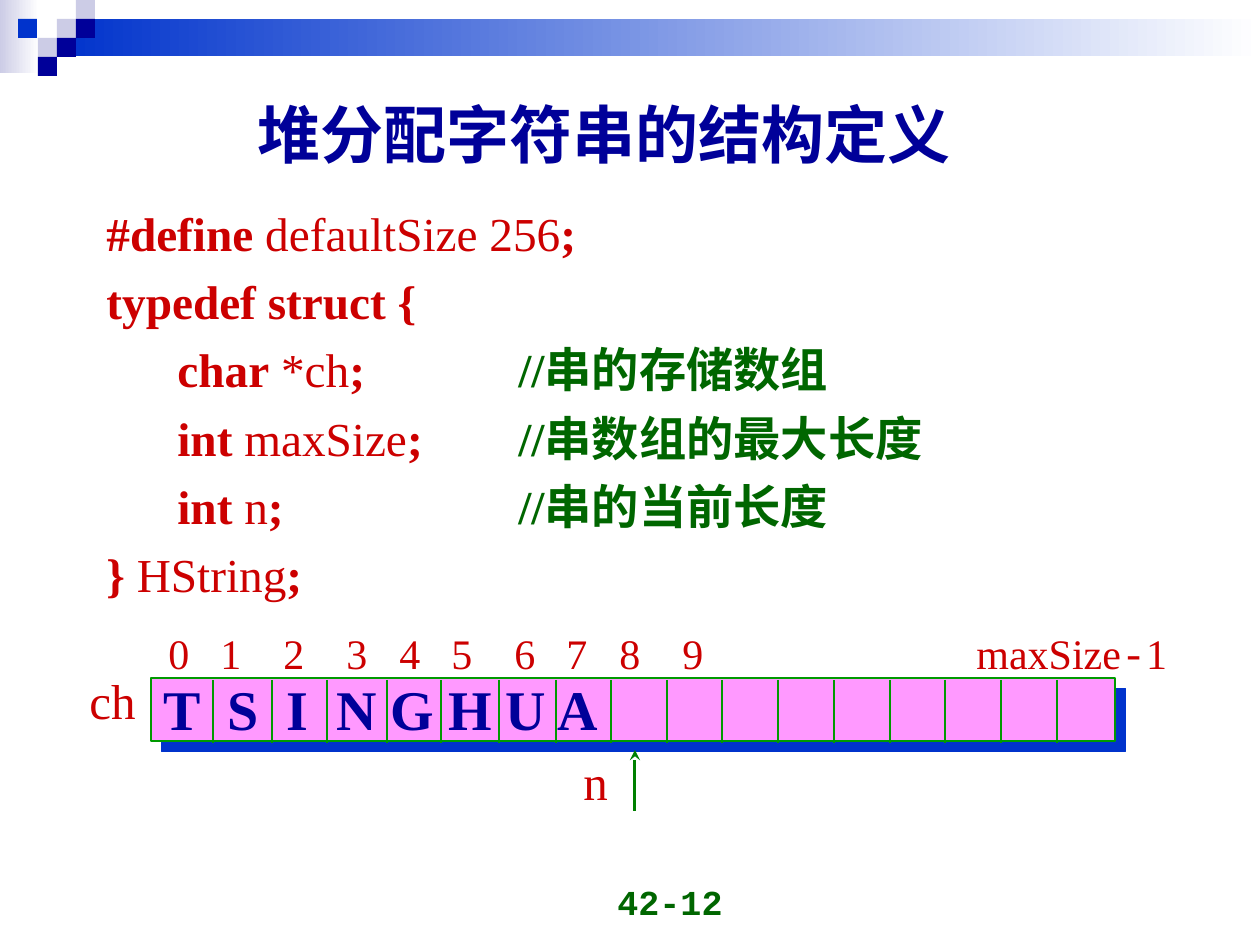
"""Build the slide on the structure definition of heap-allocated strings."""
from lxml import etree
from pptx import Presentation
from pptx import util as u
from pptx.dml.color import RGBColor
from pptx.enum import shapes, text
from pptx.oxml.ns import qn

SERIF, MONO = "Times New Roman", "Courier New"
NAVY, BLUE, PALE, WHITE = "000099", "0033CC", "CCCCE6", "FFFFFF"
RED, DARK_GREEN, GREEN, PINK = "CC0000", "006600", "009900", "FF99FF"
rgb = RGBColor.from_string


def px(n):
    return u.Emu(round(n * 914400 / 126))


def write(p, runs, size, tabs=()):
    for words, font, color, bold in runs:
        r = p.add_run()
        r.text = words
        r.font.name, r.font.size, r.font.bold = font, u.Pt(size), bold
        r.font.color.rgb = rgb(color)
    if tabs:
        stops = etree.SubElement(p._p.get_or_add_pPr(), qn("a:tabLst"))
        for x in tabs:
            etree.SubElement(stops, qn("a:tab"), pos=str(px(x)), algn="l")


prs = Presentation()
prs.slide_width, prs.slide_height = px(1260), px(945)
s = prs.slides.add_slide(prs.slide_layouts[5])

bars = [(0, 0, 39, 73, PALE), (57, 19, 1203, 37, BLUE)]
squares = [(57, 19, PALE), (76, 0, PALE), (76, 19, NAVY), (38, 38, PALE),
           (18, 19, BLUE), (57, 38, NAVY), (38, 57, NAVY)]
for x, y, w, h, color in bars + [(x, y, 19, 19, c) for x, y, c in squares]:
    sp = s.shapes.add_shape(shapes.MSO_SHAPE.RECTANGLE, px(x), px(y), px(w), px(h))
    sp.shadow.inherit = False
    sp.line.fill.background()
    if w > 19:
        sp.fill.gradient()
        sp.fill.gradient_angle = 0
        for stop, c in zip(sp.fill.gradient_stops, (color, WHITE)):
            stop.color.rgb = rgb(c)
    else:
        sp.fill.solid()
        sp.fill.fore_color.rgb = rgb(color)

title = s.shapes.title
title.left, title.top, title.width, title.height = px(84), px(81), px(1040), px(105)
tf = title.text_frame
tf.vertical_anchor = text.MSO_ANCHOR.MIDDLE
p = tf.paragraphs[0]
p.alignment = text.PP_ALIGN.CENTER
write(p, [("堆分配字符串的结构定义", SERIF, NAVY, True)], 36)

code = [
    [("#define ", True), ("defaultSize 256", False), (";", True)],
    [("typedef struct {", True)],
    [("\tchar", True), (" *ch", False), (";\t", True), ("//串的存储数组", True)],
    [("\tint", True), (" maxSize", False), (";\t", True), ("//串数组的最大长度", True)],
    [("\tint", True), (" n", False), (";\t", True), ("//串的当前长度", True)],
    [("} ", True), ("HString", False), (";", True)],
]
tf = s.shapes.add_textbox(px(94), px(195), px(1118), px(415)).text_frame
tf.word_wrap = True
for i, line in enumerate(code):
    p = tf.add_paragraph() if i else tf.paragraphs[0]
    p.line_spacing, p.space_before = 1.05, u.Pt(5)
    runs = [(words, SERIF, DARK_GREEN if words.startswith("//") else RED, bold)
            for words, bold in line]
    write(p, runs, 27, (71, 412))

array = s.shapes.add_shape(shapes.MSO_SHAPE.RECTANGLE, px(151), px(678), px(964), px(63))
array.fill.solid()
array.fill.fore_color.rgb = rgb(PINK)
array.line.color.rgb, array.line.width = rgb(GREEN), u.Pt(0.75)
array.shadow.inherit = False
effects = array._element.spPr.find(qn("a:effectLst"))
shadow = etree.SubElement(effects, qn("a:outerShdw"), blurRad="0", dist=str(u.Pt(8.5)),
                          dir="2700000", algn="ctr", rotWithShape="0")
etree.SubElement(shadow, qn("a:srgbClr"), val=BLUE)

dividers = [213, 272, 327, 387, 441, 499, 556] + [round(611 + 55.7 * i) for i in range(9)]
lines = [(x, 680, 743, GREEN, 0.75) for x in dividers] + [(635, 811, 750, "008000", 1.75)]
for x, y1, y2, color, width in lines:
    line = s.shapes.add_connector(shapes.MSO_CONNECTOR.STRAIGHT, px(x), px(y1), px(x), px(y2))
    line.line.color.rgb, line.line.width = rgb(color), u.Pt(width)
    etree.SubElement(line._element.spPr, qn("a:effectLst"))
etree.SubElement(line.line._get_or_add_ln(), qn("a:tailEnd"), type="stealth")

indexes = "\t".join("0123456789") + "\tmaxSize"
index_tabs = (52, 115, 178, 231, 283, 346, 398, 451, 514, 808)
letter_tabs = (64, 123, 173, 227, 285, 342, 394)
labels = [
    (156, 621, 1054, 63, 24, [(indexes, SERIF, RED, False), ("-", MONO, RED, False),
                              ("1", SERIF, RED, False)], index_tabs),
    (151, 668, 480, 81, 32, [("\t".join("TSINGHUA"), SERIF, NAVY, True)], letter_tabs),
    (77, 664, 71, 72, 28, [("ch", SERIF, RED, False)], ()),
    (571, 745, 49, 72, 28, [("n", SERIF, RED, False)], ()),
    (441, 866, 294, 63, 20, [("42-12", MONO, DARK_GREEN, True)], ()),
]
for x, y, w, h, size, runs, tabs in labels:
    tf = s.shapes.add_textbox(px(x), px(y), px(w), px(h)).text_frame
    tf.word_wrap = True
    write(tf.paragraphs[0], runs, size, tabs)
tf.vertical_anchor = text.MSO_ANCHOR.BOTTOM
tf.paragraphs[0].alignment = text.PP_ALIGN.RIGHT

prs.save("out.pptx")
